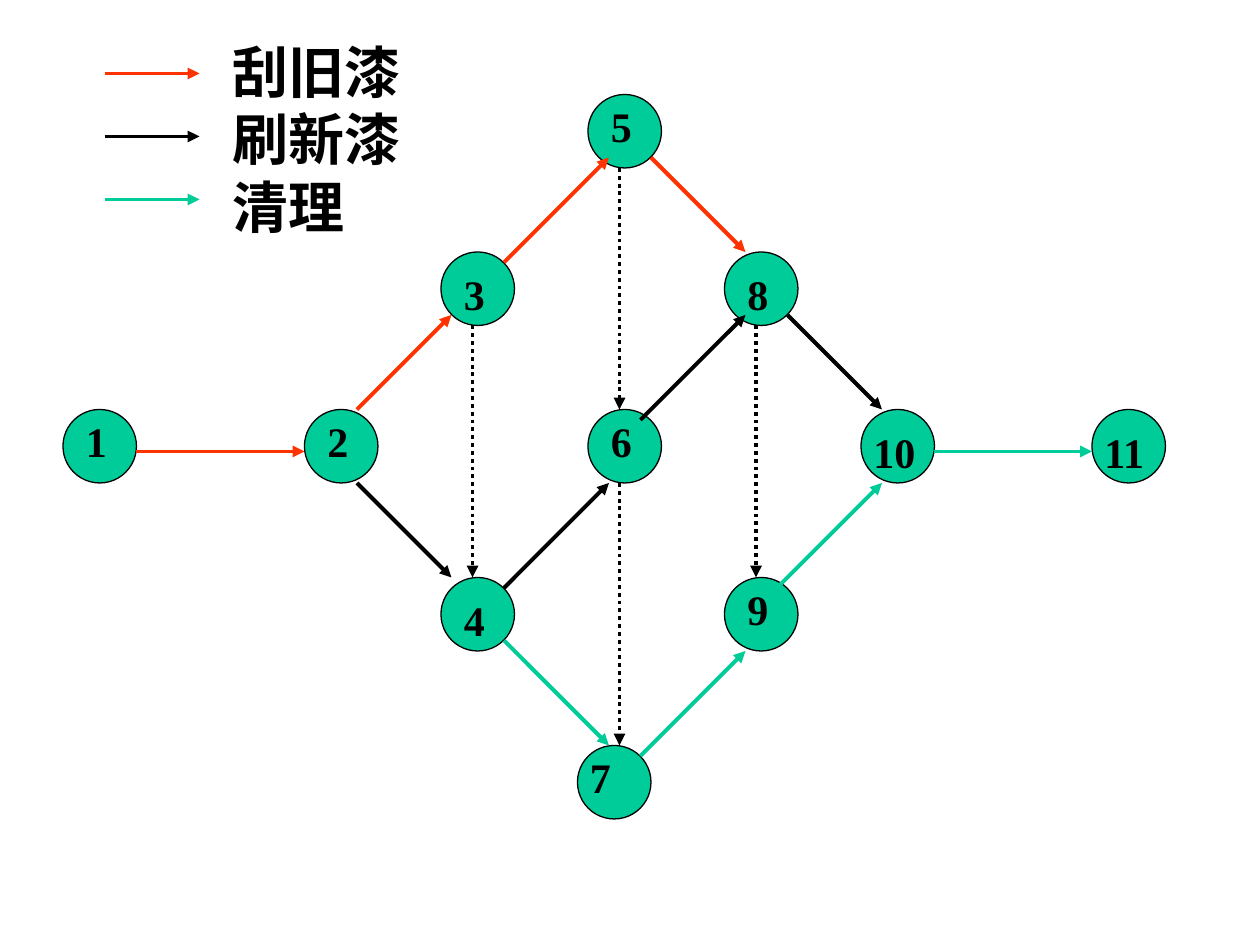
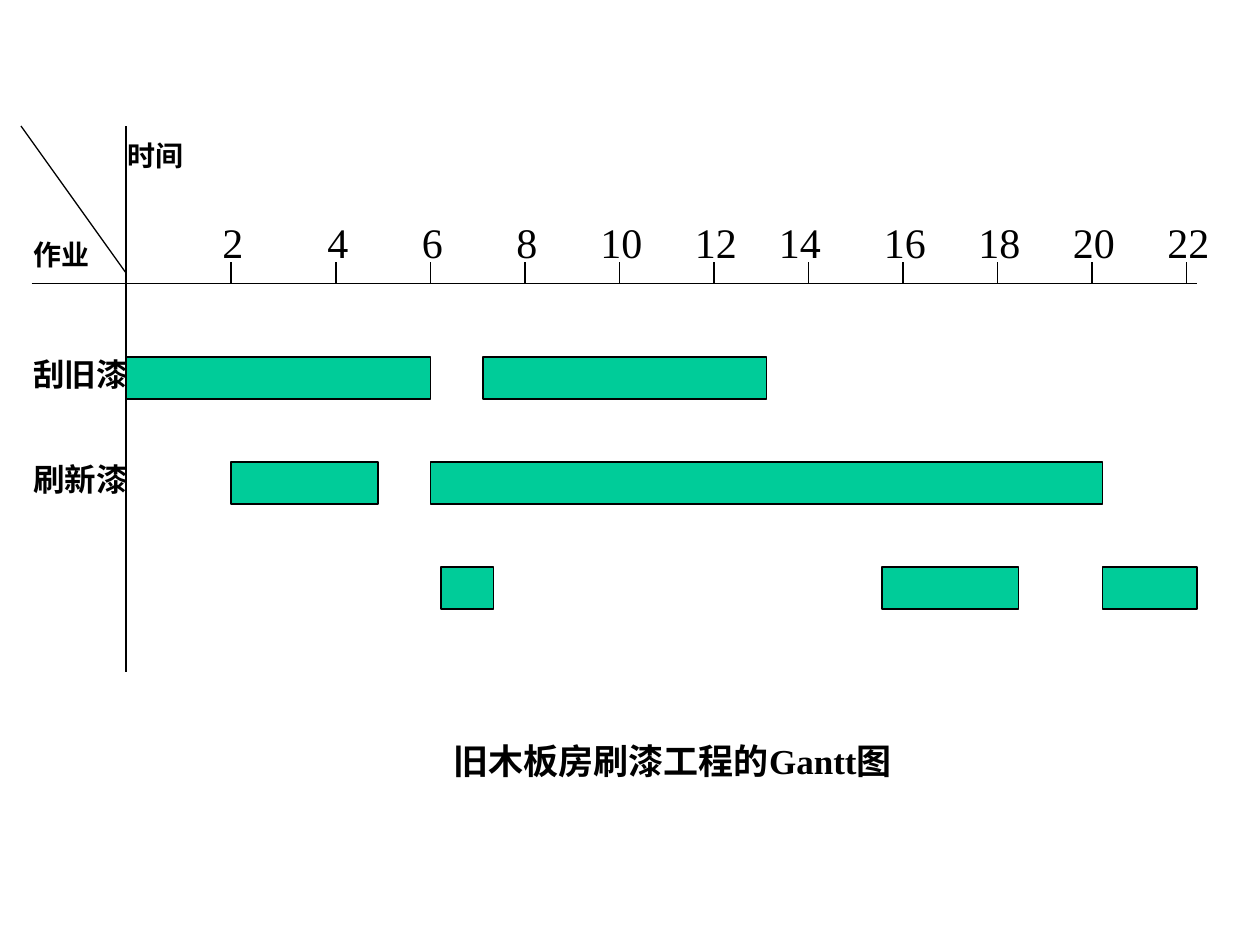
from pptx import Presentation
from pptx.dml.color import RGBColor
from pptx.enum.dml import MSO_LINE
from pptx.enum.shapes import MSO_CONNECTOR, MSO_SHAPE
from pptx.enum.text import MSO_AUTO_SIZE
from pptx.oxml.ns import qn
from pptx.util import Cm, Pt
from lxml.etree import SubElement

COLORS = {"scrape": "FF3300", "paint": "000000", "clean": "00CC99",
          "fill": "00CC99", "ink": "000000"}
FONT = "Times New Roman"
CELLS_PER_INCH = 12
NODE_SIZE = 7
BAR_HEIGHT = 4

# Node number: circle left, circle top, label shift right, label shift down
NODES = {
    1: (6, 39, 1, 0), 2: (29, 39, 1, 0), 3: (42, 24, 1, 1),
    4: (42, 55, 1, 1), 5: (56, 9, 1, 0), 6: (56, 39, 1, 0),
    7: (55, 71, 0, 0), 8: (69, 24, 1, 1), 9: (69, 55, 1, 0),
    10: (82, 39, 0, 1), 11: (104, 39, 0, 1),
}
TASK_ARROWS = {
    "scrape": [(13, 43, 29, 43), (34, 39, 43, 30), (48, 25, 58, 15),
               (62, 15, 71, 24)],
    "paint": [(34, 46, 43, 55), (48, 56, 58, 46), (61, 40, 71, 30),
              (75, 30, 84, 39)],
    "clean": [(48, 61, 58, 71), (61, 72, 71, 62), (74, 56, 84, 46),
              (89, 43, 104, 43)],
}
DUMMY_ARROWS = [(45, 31, 45, 55), (59, 16, 59, 39),
                (59, 46, 59, 71), (72, 31, 72, 55)]
LEGEND = {"scrape": "刮旧漆", "paint": "刷新漆", "clean": "清理"}

# Each Gantt row: left edge and width of its bars
BAR_ROWS = [[(12, 29), (46, 27)],
            [(22, 14), (41, 64)],
            [(42, 5), (84, 13), (105, 9)]]


def grid(cells):
    """Length of a number of drawing grid cells."""
    return Cm(cells * 2.54 / CELLS_PER_INCH)


def color(name):
    return RGBColor.from_string(COLORS[name])


def add_filled_shape(slide, kind, left, top, width, height):
    shape = slide.shapes.add_shape(
        kind, grid(left), grid(top), grid(width), grid(height))
    shape.shadow.inherit = False
    shape.fill.solid()
    shape.fill.fore_color.rgb = color("fill")
    shape.line.color.rgb = color("ink")
    shape.line.width = Pt(0.75)


def add_line(slide, ends, color_name="ink", width=0.75, arrow=False, dash=None):
    connector = slide.shapes.add_connector(
        MSO_CONNECTOR.STRAIGHT, *[grid(value) for value in ends])
    connector.line.color.rgb = color(color_name)
    connector.line.width = Pt(width)
    if dash is not None:
        connector.line.dash_style = dash
    properties = connector.element.spPr
    if arrow:
        SubElement(properties.find(qn("a:ln")), qn("a:tailEnd"), type="triangle")
    SubElement(properties, qn("a:effectLst"))


def add_arrow(slide, ends, color_name="ink", dash=None):
    add_line(slide, ends, color_name, 2.25, True, dash)


def add_text(slide, lines, left, top, width, size, bold=True):
    """Add a text box as high as its lines plus the default insets."""
    height = len(lines) * size * 0.2 + 1.2
    box = slide.shapes.add_textbox(
        grid(left), grid(top), grid(width), grid(height))
    frame = box.text_frame
    frame.word_wrap = True
    frame.auto_size = MSO_AUTO_SIZE.SHAPE_TO_FIT_TEXT
    frame.text = "\n".join(lines)
    for paragraph in frame.paragraphs:
        paragraph.font.name = FONT
        paragraph.font.size = Pt(size)
        paragraph.font.bold = bold
        paragraph.font.color.rgb = color("ink")


def add_number(slide, number, left, top, bold):
    width = 5 if number < 10 else 8
    add_text(slide, [str(number)], left, top, width, 24, bold)


def build_network(slide):
    for left, top, _, _ in NODES.values():
        add_filled_shape(slide, MSO_SHAPE.OVAL, left, top, NODE_SIZE, NODE_SIZE)
    for number, (left, top, right, down) in NODES.items():
        add_number(slide, number, left + right, top + down, bold=True)
    for task, arrows in TASK_ARROWS.items():
        for ends in arrows:
            add_arrow(slide, ends, task)
    for ends in DUMMY_ARROWS:
        add_arrow(slide, ends, dash=MSO_LINE.ROUND_DOT)
    for row, task in enumerate(LEGEND):
        y = 7 + 6 * row
        add_arrow(slide, (10, y, 19, y), task)
    add_text(slide, list(LEGEND.values()), 21, 3, 19, 32)


def build_time_scale(slide):
    for ends in [(3, 27, 114, 27), (12, 12, 12, 64), (2, 12, 12, 26)]:
        add_line(slide, ends)
    ticks = [22] + [32 + 9 * step for step in range(10)]
    for index, tick in enumerate(ticks):
        hour = 2 * (index + 1)
        add_line(slide, (tick, 25, tick, 27))
        label_shift = 4 if hour == 14 else 2 if hour < 10 else 3
        add_number(slide, hour, tick - label_shift, 20, bold=False)


def build_gantt(slide):
    build_time_scale(slide)
    for row, bars in enumerate(BAR_ROWS):
        for left, width in bars:
            add_filled_shape(slide, MSO_SHAPE.RECTANGLE,
                             left, 34 + 10 * row, width, BAR_HEIGHT)
    for row, task in enumerate(["scrape", "paint"]):
        add_text(slide, [LEGEND[task]], 2, 33.2 + 10 * row, 13, 18)
    add_text(slide, ["时间"], 11, 12.6, 12, 16)
    add_text(slide, ["作业"], 2, 22, 13, 16)
    add_text(slide, ["旧木板房刷漆工程的Gantt图"], 42, 69.8, 46, 20)


def main():
    presentation = Presentation()
    presentation.slide_width = Cm(25.4)
    presentation.slide_height = Cm(19.05)
    blank_layout = presentation.slide_layouts[6]
    for build in (build_network, build_gantt):
        build(presentation.slides.add_slide(blank_layout))
    presentation.save("out.pptx")


if __name__ == "__main__":
    main()
